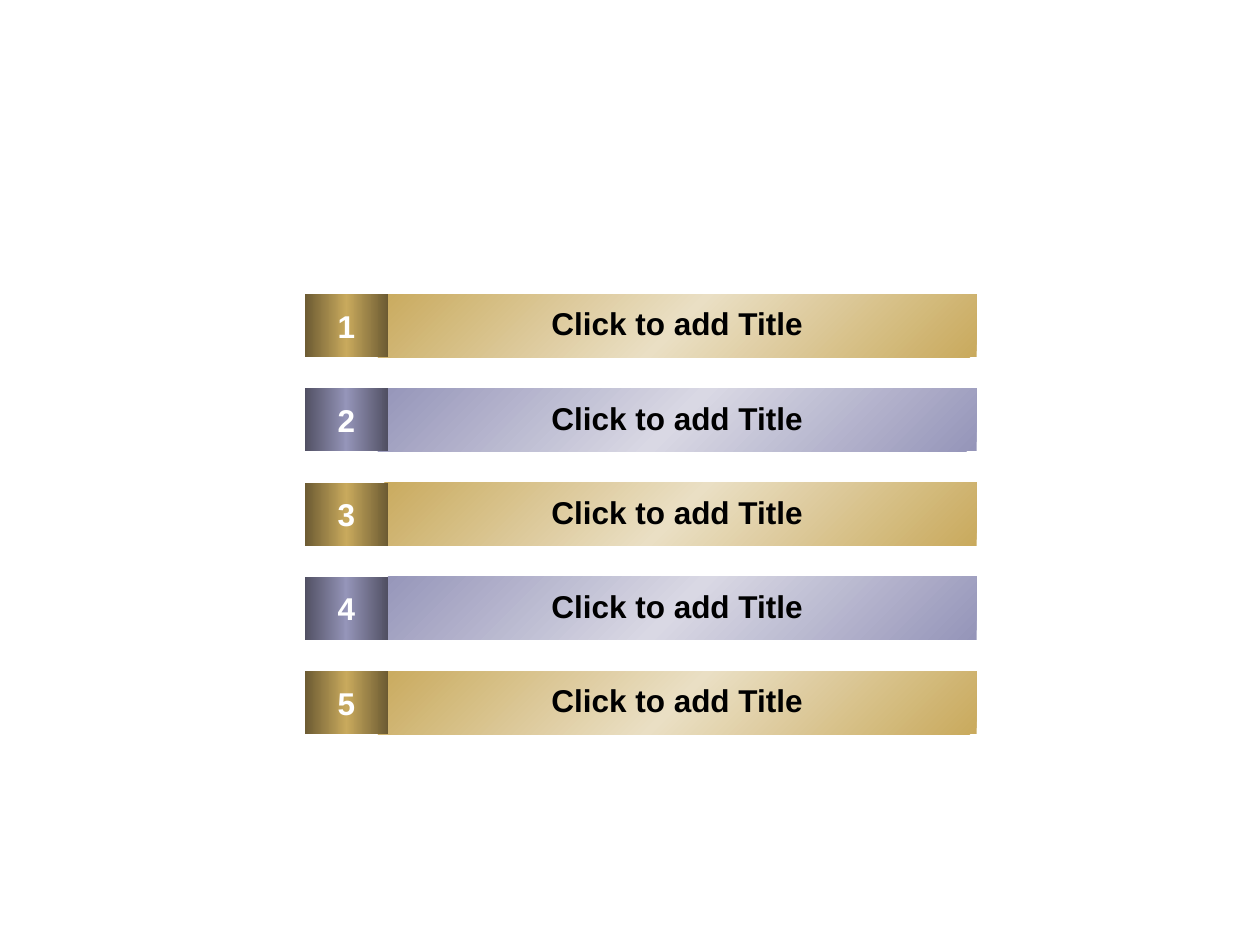
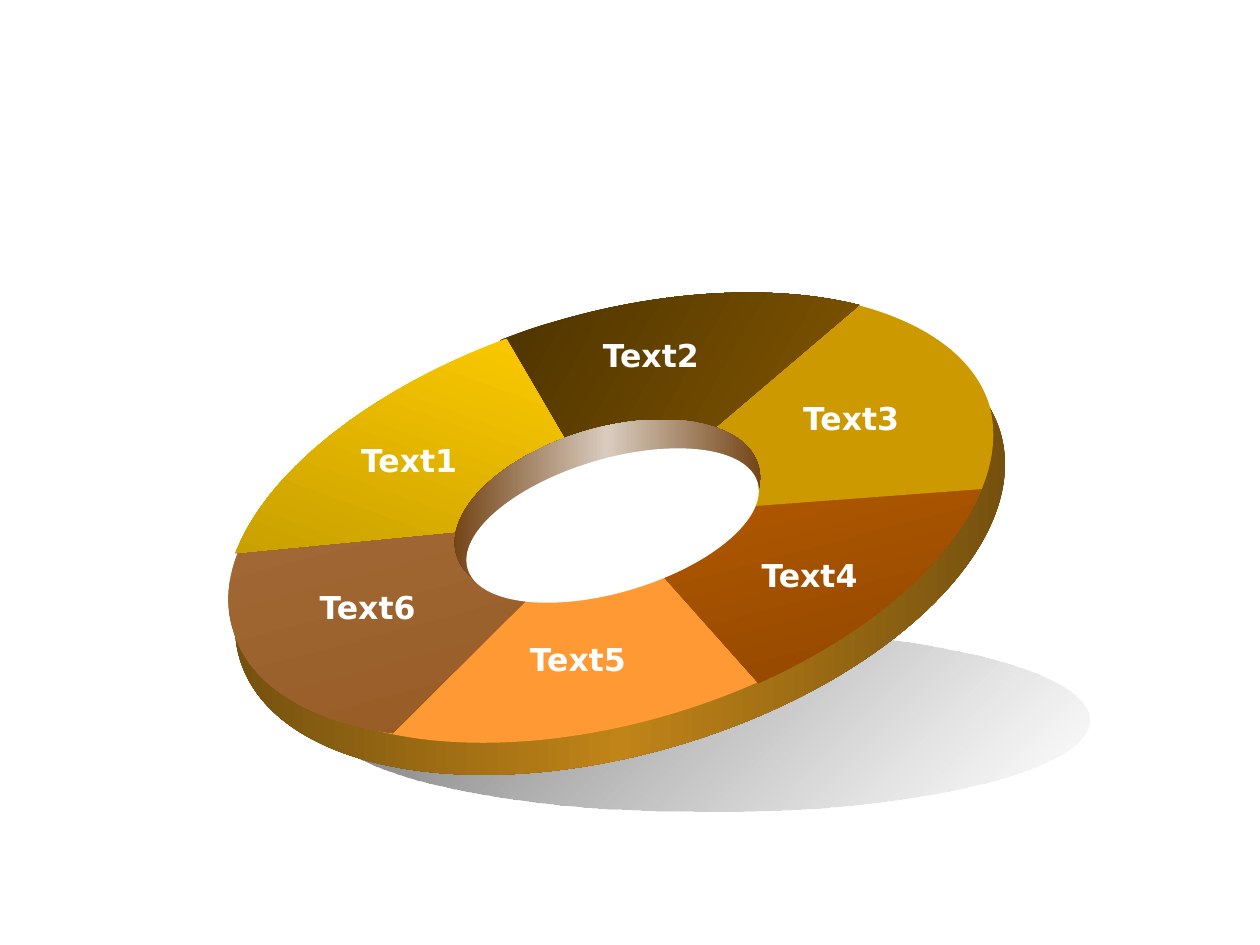
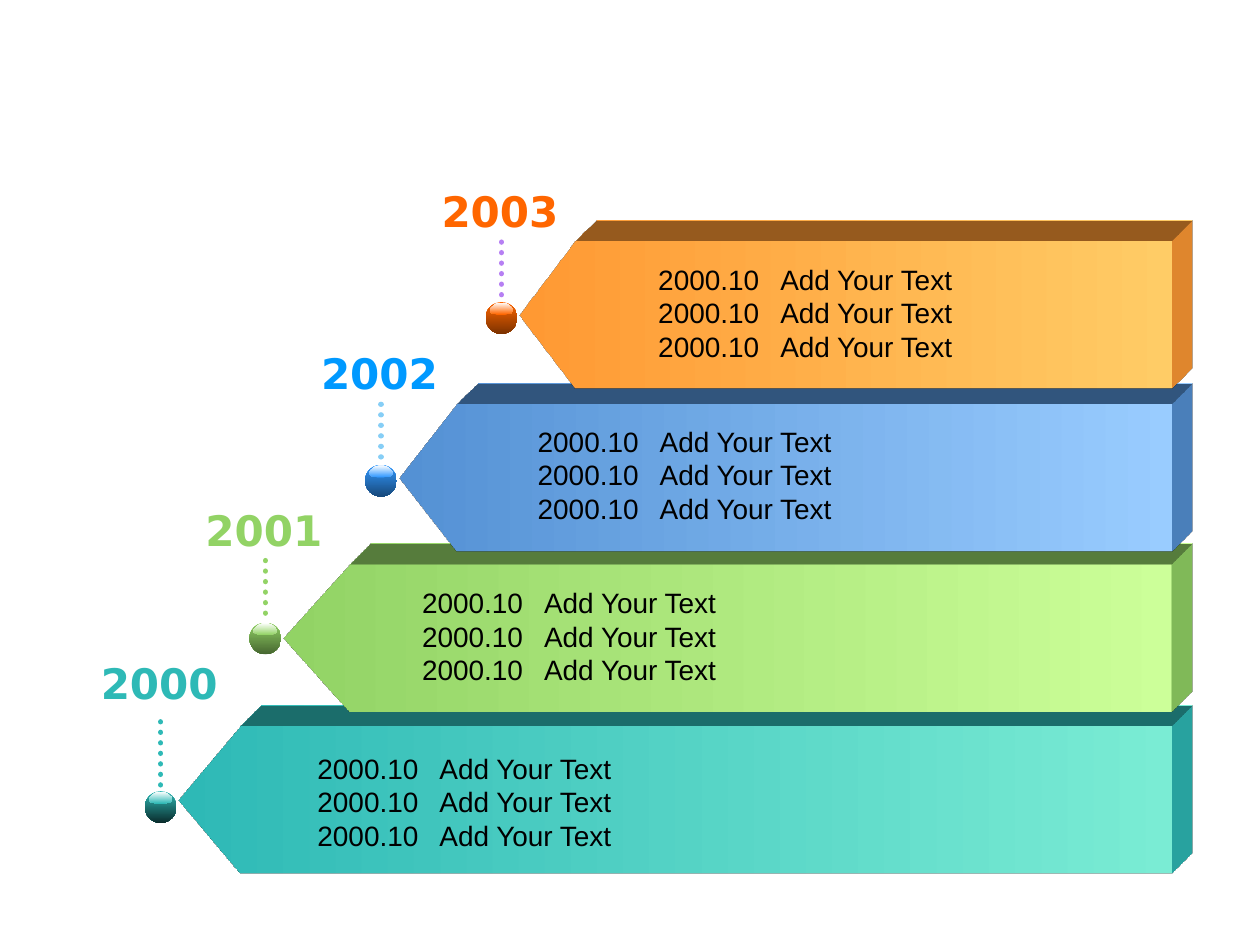
from dataclasses import dataclass

from lxml import etree
from pptx import Presentation
from pptx.dml.color import RGBColor
from pptx.enum import dml, shapes, text
from pptx.oxml import ns
from pptx.util import Cm, Pt


@dataclass(frozen=True)
class Theme:
    sans: str = "Arial"
    display: str = "DejaVu Sans"
    label_size: int = 18
    year_size: int = 24
    entry_size: int = 16
    white: str = "FFFFFF"
    black: str = "000000"
    gold: tuple = ("C9AA5D", "EADFC4", "6B5A32")
    violet: tuple = ("9595B9", "D9D8E4", "504F62")
    rim: tuple = ("6B4A0E", "C08418", "6B4A0E")
    hole: tuple = ("663300", "D9CCBF", "663300")
    cast: tuple = (("292929", 70), ("FFFFFF", 47))
    ring: str = "FF9933"


@dataclass(frozen=True)
class Step:
    year: str
    left: float
    top: float
    year_top: float
    dots_top: float
    ball_top: float
    entries_top: float
    point: float
    ink: str
    dots: str
    ball: tuple
    front: tuple


THEME = Theme()
TILT = 343.4
RING_CENTRE = (12.3, 10.42)

SEGMENTS = [
    ([(19.99, 9.12), (19.76, 10.77), (17.96, 12.57), (15.29, 13.77)],
     ("B85C00", "904600"), 75),
    ([(17.17, 6.12), (18.64, 6.48), (19.63, 7.19), (19.94, 8.15),
      (20.09, 8.69), (20.04, 9.25), (19.79, 9.86)],
     ("CC9900",), 0),
    ([(4.9, 10.9), (4.6, 11.53), (4.52, 12.14), (4.7, 12.7),
      (5, 13.77), (6.17, 14.53), (7.92, 14.78)],
     ("A26A38", "965A24"), 75),
    ([(10.08, 6.86), (10.41, 6.73), (10.77, 6.6), (11.13, 6.5),
      (13.34, 5.84), (15.62, 5.72), (17.32, 6.15)],
     ("4D3300", "865900"), 30),
    ([(10.21, 6.83), (7.47, 7.85), (5.38, 9.5), (4.75, 11.15)],
     ("FFCC00", "C9A000"), 110),
]
SEGMENT_LABELS = [(6.98, 8.76), (11.85, 6.65), (15.89, 7.92),
                  (15.05, 11.08), (10.38, 12.78), (6.14, 11.73)]

STEPS = [
    Step("2000", 3.61, 14.65, 13.13, 14.55, 15.95, 15.02, 0.42,
         "2EB9B6", "2EB9B6", ("2EB9B6", "0A2C2C"), ("2EB9B6", "7AECD4")),
    Step("2001", 5.72, 11.38, 10.04, 11.3, 12.55, 11.68, 0.45,
         "92D365", "92D365", ("92D365", "466630"), ("92D365", "CCFF99")),
    Step("2002", 8.05, 8.15, 6.88, 8.15, 9.37, 8.43, 0.39,
         "0099FF", "86CEF6", ("3399FF", "17497B"), ("5491D4", "99CCFF")),
    Step("2003", 10.48, 4.87, 3.61, 4.88, 6.09, 5.16, 0.38,
         "FF6600", "B67FF3", ("FF6600", "7C3200"), ("FF9933", "FFCC66")),
]
GLINT = [(1, 0.55), (1, 0.75), (0.9, 0.9), (0.6, 1), (0.35, 1), (0.1, 0.9),
         (0, 0.75), (0, 0.6), (0.08, 0.4), (0.25, 0.12), (0.42, 0),
         (0.6, 0), (0.78, 0.15), (0.92, 0.4)]


def paint(figure, colours, angle=0):
    figure.shadow.inherit = False
    figure.line.fill.background()
    if len(colours) == 1:
        figure.fill.solid()
        figure.fill.fore_color.rgb = RGBColor.from_string(colours[0])
        return
    figure.fill.gradient()
    gradient = figure._element.spPr.find(ns.qn("a:gradFill"))
    gradient.set("rotWithShape", "0")
    gradient.find(ns.qn("a:lin")).set("ang", str(angle * 60000))
    stops = gradient.find(ns.qn("a:gsLst"))
    for stop in list(stops):
        stops.remove(stop)
    for index, colour in enumerate(colours):
        value, opacity = colour if isinstance(colour, tuple) else (colour, 100)
        position = 100000 * index // (len(colours) - 1)
        stop = etree.SubElement(stops, ns.qn("a:gs"), pos=str(position))
        shade = etree.SubElement(stop, ns.qn("a:srgbClr"), val=value)
        if opacity < 100:
            etree.SubElement(shade, ns.qn("a:alpha"), val=str(opacity * 1000))


def add_figure(canvas, kind, box, colours, angle=0, rotation=0):
    figure = canvas.add_shape(kind, *map(Cm, box))
    figure.rotation = rotation
    paint(figure, colours, angle)
    return figure


def add_outline(canvas, points, colours, angle=0):
    start, *rest = [(Cm(x), Cm(y)) for x, y in points]
    builder = canvas.build_freeform(*start)
    builder.add_line_segments(rest, close=True)
    outline = builder.convert_to_shape()
    paint(outline, colours, angle)
    return outline


def add_segment(canvas, controls, colours, angle):
    segment = add_outline(canvas, controls + [RING_CENTRE], colours, angle)
    edges = list(segment._element.spPr.iter(ns.qn("a:lnTo")))
    for first in range(0, len(controls) - 1, 3):
        curve, *handles = edges[first:first + 3]
        bend = etree.Element(ns.qn("a:cubicBezTo"))
        curve.addprevious(bend)
        for edge in (curve, *handles):
            bend.append(edge[0])
            edge.getparent().remove(edge)


def extrude(figure, colour):
    properties = figure._element.spPr
    scene = etree.SubElement(properties, ns.qn("a:scene3d"))
    etree.SubElement(scene, ns.qn("a:camera"), prst="legacyObliqueTopRight")
    etree.SubElement(scene, ns.qn("a:lightRig"), rig="legacyFlat3", dir="b")
    solid = etree.SubElement(properties, ns.qn("a:sp3d"),
                             extrusionH="430200", prstMaterial="legacyMatte")
    for bevel in ("a:bevelT", "a:bevelB"):
        etree.SubElement(solid, ns.qn(bevel), w="13500", h="13500",
                         prst="angle")
    depth = etree.SubElement(solid, ns.qn("a:extrusionClr"))
    etree.SubElement(depth, ns.qn("a:srgbClr"), val=colour)


def style_text(frame, size, colour, font, bold=True,
               align=text.PP_ALIGN.CENTER):
    for paragraph in frame.paragraphs:
        paragraph.alignment = align
        for run in paragraph.runs:
            run.font.size = Pt(size)
            run.font.name = font
            run.font.bold = bold
            run.font.color.rgb = RGBColor.from_string(colour)


def add_label(canvas, box, words, size, colour, font, wrap=False):
    frame = canvas.add_textbox(*map(Cm, box)).text_frame
    frame.word_wrap = wrap
    frame.text = words
    style_text(frame, size, colour, font)


def add_entries(canvas, left, top):
    frame = canvas.add_textbox(Cm(left), Cm(top), Cm(6.63), Cm(2.29)).text_frame
    frame.word_wrap = True
    frame.text = "\n".join(["2000.10\tAdd Your Text"] * 3)
    for paragraph in frame.paragraphs:
        tabs = etree.SubElement(paragraph._p.get_or_add_pPr(),
                                ns.qn("a:tabLst"))
        etree.SubElement(tabs, ns.qn("a:tab"), pos=str(Cm(2.46)), algn="l")
    style_text(frame, THEME.entry_size, THEME.black, THEME.sans, False,
               text.PP_ALIGN.LEFT)


def add_dots(canvas, x, top, bottom, colour):
    dots = canvas.add_connector(shapes.MSO_CONNECTOR.STRAIGHT,
                                Cm(x), Cm(top), Cm(x), Cm(bottom))
    dots.line.width = Pt(3)
    dots.line.color.rgb = RGBColor.from_string(colour)
    dots.line.dash_style = dml.MSO_LINE.ROUND_DOT
    properties = dots._element.spPr
    properties.find(ns.qn("a:ln")).set("cap", "rnd")
    etree.SubElement(properties, ns.qn("a:effectLst"))


def add_numbered_bar(slide, number, top, palette):
    edge, middle, dark = palette
    canvas = slide.shapes.add_group_shape().shapes
    rectangle = shapes.MSO_SHAPE.RECTANGLE
    add_figure(canvas, rectangle, (7.62, top, 12.07, 1.27),
               (edge, middle, edge), 45)
    badge = add_figure(canvas, rectangle, (6.14, top, 1.69, 1.27),
                       (dark, edge, dark))
    badge.text_frame.word_wrap = False
    badge.text_frame.vertical_anchor = text.MSO_ANCHOR.MIDDLE
    badge.text_frame.text = str(number)
    style_text(badge.text_frame, THEME.label_size, THEME.white, THEME.sans)
    add_label(canvas, (8.04, top + 0.08, 11.22, 1.02), "Click to add Title",
              THEME.label_size, THEME.black, THEME.sans, wrap=True)


def add_ball(slide, left, top, colours):
    canvas = slide.shapes.add_group_shape().shapes
    add_figure(canvas, shapes.MSO_SHAPE.OVAL, (left, top, 0.64, 0.64),
               colours, 90)
    glint = [(left + 0.08 + 0.48 * x, top + 0.01 + 0.24 * y) for x, y in GLINT]
    add_outline(canvas, glint, (THEME.white, colours[0]), 90)


def add_plate(canvas, step, right=23.61, height=2.97):
    plate = add_figure(canvas, shapes.MSO_SHAPE.PENTAGON,
                       (step.left, step.top, right - step.left, height),
                       step.front)
    plate.adjustments[0] = step.point
    plate._element.spPr.find(ns.qn("a:xfrm")).set("flipH", "1")
    extrude(plate, step.front[0])


def add_step(slide, step):
    canvas = slide.shapes
    ball_left = step.left - 0.69
    add_label(canvas, (step.left - 1.86, step.year_top, 2.92, 1.27),
              step.year, THEME.year_size, step.ink, THEME.display)
    add_ball(slide, ball_left, step.ball_top, step.ball)
    add_dots(canvas, ball_left + 0.32, step.dots_top, step.ball_top, step.dots)
    add_plate(canvas, step)
    add_entries(canvas, step.left + 2.54, step.entries_top)


def build_agenda(slide):
    for index in range(5):
        palette = THEME.violet if index % 2 else THEME.gold
        add_numbered_bar(slide, index + 1, 5.93 + 1.9 * index, palette)


def build_ring(slide):
    canvas, oval = slide.shapes, shapes.MSO_SHAPE.OVAL
    add_figure(canvas, oval, (6.53, 12.67, 15.44, 3.68), THEME.cast, 45)
    add_figure(canvas, oval, (4.5, 6.81, 16, 8.38), THEME.rim, rotation=TILT)
    add_figure(canvas, oval, (4.65, 6.43, 15.47, 8.13), (THEME.ring,),
               rotation=TILT)
    for controls, colours, angle in SEGMENTS:
        add_segment(canvas, controls, colours, angle)
    for number, (left, top) in enumerate(SEGMENT_LABELS, 1):
        add_label(canvas, (left, top, 2.54, 1.02), f"Text{number}",
                  THEME.label_size, THEME.white, THEME.display)
    hole = canvas.add_group_shape().shapes
    add_figure(hole, oval, (9.07, 8.63, 6.35, 3.3), THEME.hole, rotation=TILT)
    add_figure(hole, oval, (9.3, 9.25, 6.1, 2.69), (THEME.white,),
               rotation=TILT)


def build_timeline(slide):
    for step in STEPS:
        add_step(slide, step)


def main():
    deck = Presentation()
    deck.slide_width, deck.slide_height = Cm(25.4), Cm(19.05)
    blank = deck.slide_layouts[6]
    for build in (build_agenda, build_ring, build_timeline):
        build(deck.slides.add_slide(blank))
    deck.save("out.pptx")


if __name__ == "__main__":
    main()
